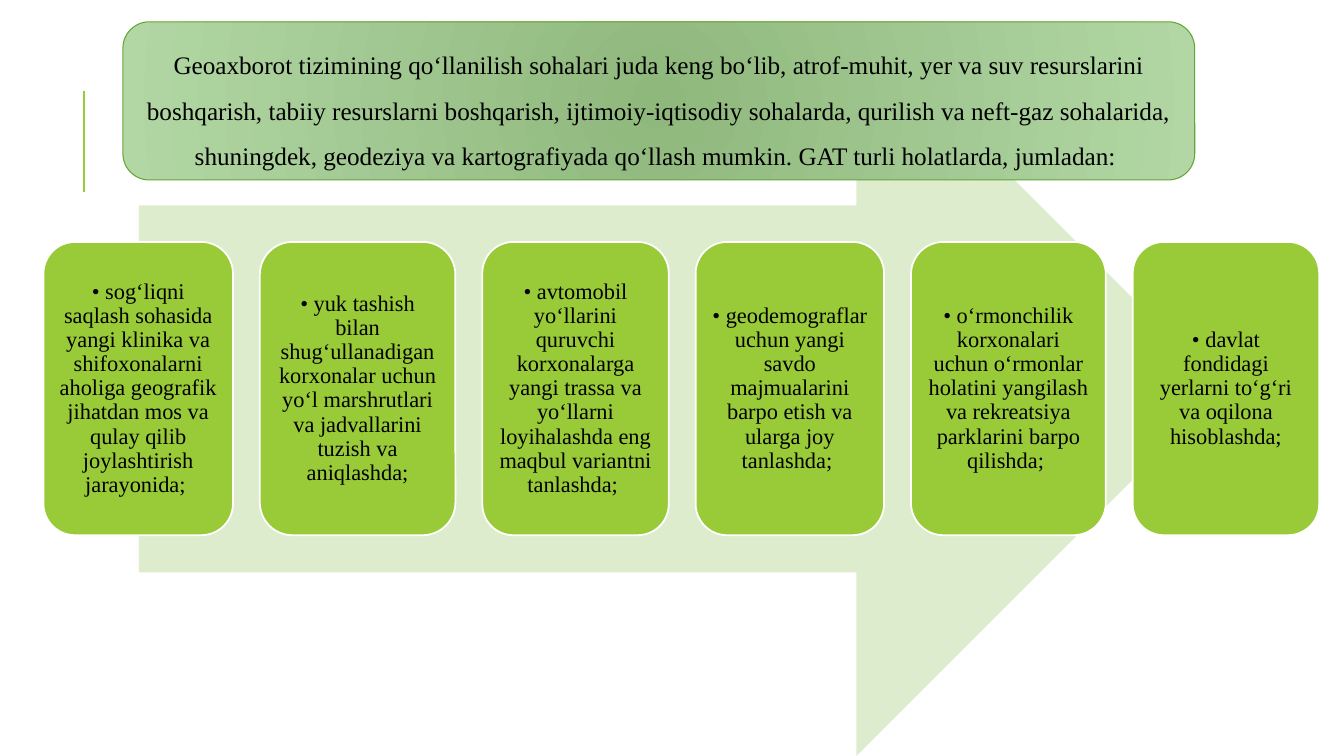
import pptx
import pptx.dml.color
import pptx.enum.shapes
import pptx.enum.text
import pptx.oxml.ns
import pptx.oxml.xmlchemy
import pptx.util

Pt = pptx.util.Pt
RGBColor = pptx.dml.color.RGBColor
Shapes = pptx.enum.shapes.MSO_SHAPE
Anchor = pptx.enum.text.MSO_ANCHOR
new_element = pptx.oxml.xmlchemy.OxmlElement

BLACK = RGBColor(0x00, 0x00, 0x00)
WHITE = RGBColor(0xFF, 0xFF, 0xFF)
LIME = RGBColor(0x99, 0xCB, 0x38)
PALE_GREEN = RGBColor(0xDE, 0xEC, 0xCE)
EDGE_GREEN = RGBColor(0x63, 0xA5, 0x37)
HEADER_INNER = RGBColor(0x8F, 0xB8, 0x7D)
HEADER_OUTER = RGBColor(0xB2, 0xD7, 0xA4)
FONT = "Times New Roman"

CARD_LEFT, CARD_TOP, CARD_HEIGHT, CARD_GAP = 31, 172.8, 209.5, 19.2

HEADER = (
    "Geo\u0430\u0445borot tizimining qoʻllanilish sohalari juda keng boʻlib, "
    "atrof-muhit, yer va suv resurslarini boshqarish, tabiiy resurslarni "
    "boshqarish, ijtimoiy-iqtisodiy sohalarda, qurilish va neft-gaz "
    "sohalarida, shuningdek, geodeziya va kartografiyada qoʻllash mumkin. "
    "GAT turli holatlarda, jumladan: "
)

CARDS = [
    (135.4, "• sogʻliqni saqlash sohasida yangi klinika va shifo\u0445onalarni "
            "aholiga geografik jihatdan mos va qulay qilib joylashtirish "
            "jarayonida; "),
    (139.7, "• yuk tashish bilan shugʻullanadigan kor\u0445onalar uchun yoʻl "
            "marshrutlari va jadvallarini tuzish va aniqlashda;"),
    (133.2, "• avtomobil yoʻllarini quruvchi kor\u0445onalarga yangi trassa va "
            "yoʻllarni loyihalashda eng maqbul variantni tanlashda; "),
    (134.6, "• geodemograflar uchun yangi savdo majmualarini barpo etish va "
            "ularga joy tanlashda; "),
    (139.2, "• oʻrmonchilik kor\u0445onalari uchun oʻrmonlar holatini yangilash "
            "va rekreatsiya parklarini barpo qilishda; "),
    (133.2, "• davlat fondidagi yerlarni toʻgʻri va oqilona hisoblashda;"),
]


def add_accent_line(page, x, top, bottom):
    line = page.shapes.add_connector(
        pptx.enum.shapes.MSO_CONNECTOR.STRAIGHT, Pt(x), Pt(bottom), Pt(x), Pt(top))
    line.line.color.rgb = LIME
    line.line.width = Pt(1.5)
    line._element.spPr.append(new_element("a:effectLst"))


def add_box(page, kind, left, top, width, height, fill, edge=None, edge_width=0):
    box = page.shapes.add_shape(kind, Pt(left), Pt(top), Pt(width), Pt(height))
    box.shadow.inherit = False
    box.fill.solid()
    box.fill.fore_color.rgb = fill
    if edge is None:
        box.line.fill.background()
    else:
        box.line.color.rgb = edge
        box.line.width = Pt(edge_width)
    return box


def write_text(box, text, size, spacing, space_after, anchor):
    frame = box.text_frame
    frame.word_wrap = True
    frame.vertical_anchor = anchor
    para = frame.paragraphs[0]
    para.alignment = pptx.enum.text.PP_ALIGN.CENTER
    para.line_spacing = spacing
    para.space_after = Pt(space_after)
    span = para.add_run()
    span.text = text
    span.font.name = FONT
    span.font.size = Pt(size)
    span.font.color.rgb = BLACK


def set_radial_fill(box, inner, outer):
    box.fill.gradient()
    for stop, color in zip(box.fill.gradient_stops, (inner, outer)):
        stop.color.rgb = color
    gradient = box._element.spPr.find(pptx.oxml.ns.qn("a:gradFill"))
    gradient.remove(gradient.find(pptx.oxml.ns.qn("a:lin")))
    radial = new_element("a:path")
    radial.set("path", "circle")
    center = new_element("a:fillToRect")
    for side in "ltrb":
        center.set(side, "100000")
    radial.append(center)
    gradient.append(radial)


def add_card(page, left, width, text):
    card = add_box(page, Shapes.ROUNDED_RECTANGLE, left, CARD_TOP, width,
                   CARD_HEIGHT, LIME, WHITE, 1.25)
    frame = card.text_frame
    frame.margin_left = frame.margin_right = Pt(4.8)
    frame.margin_top = frame.margin_bottom = Pt(4.8)
    write_text(card, text, 16, 0.9, 5.6, Anchor.MIDDLE)


def add_header(page):
    header = add_box(page, Shapes.ROUNDED_RECTANGLE, 87.8, 15.6, 765.6, 113,
                     HEADER_INNER, EDGE_GREEN, 0.75)
    set_radial_fill(header, HEADER_INNER, HEADER_OUTER)
    write_text(header, HEADER, 18, 1.5, 8, Anchor.TOP)


def main():
    deck = pptx.Presentation()
    deck.slide_width, deck.slide_height = Pt(960), Pt(540)
    page = deck.slides.add_slide(deck.slide_layouts[6])
    add_accent_line(page, 60, 65, 137)
    add_box(page, Shapes.RIGHT_ARROW, 99.2, 15.6, 774.7, 524.4, PALE_GREEN)
    left = CARD_LEFT
    for width, text in CARDS:
        add_card(page, left, width, text)
        left += width + CARD_GAP
    add_header(page)
    deck.save("out.pptx")


main()
